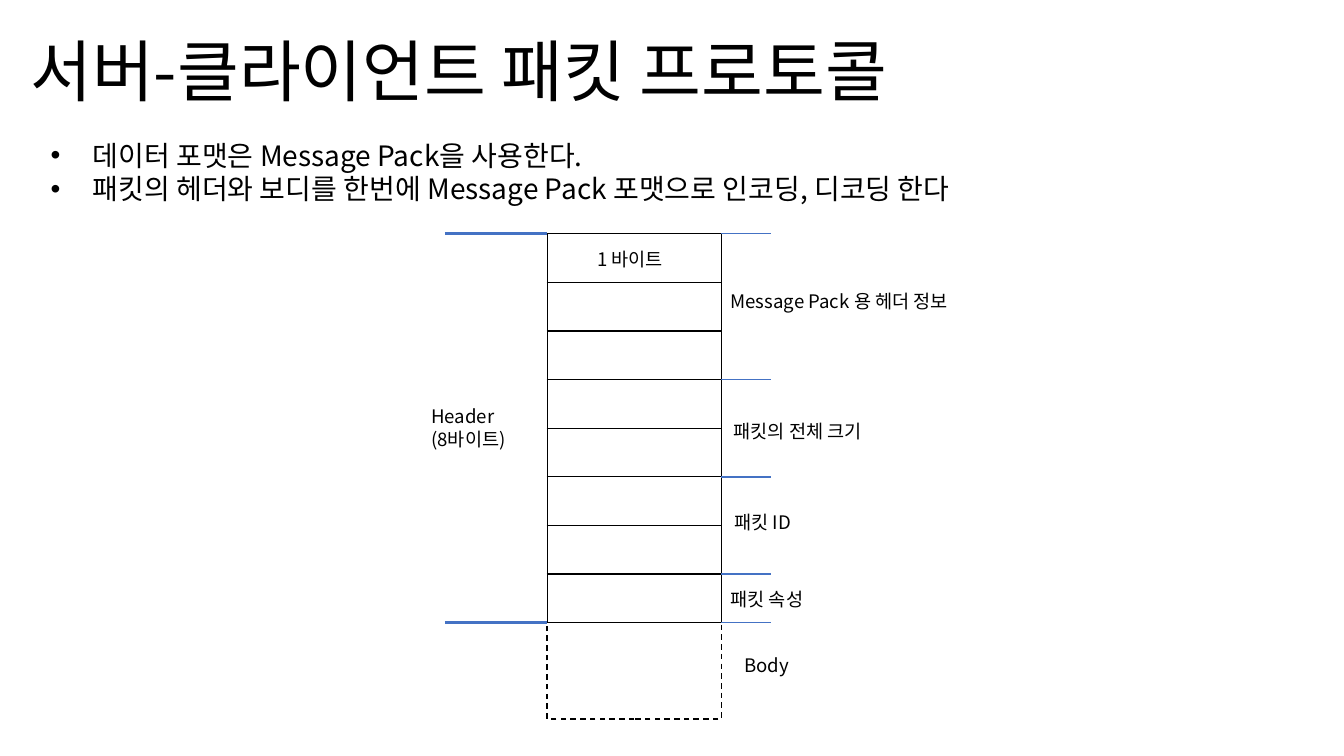
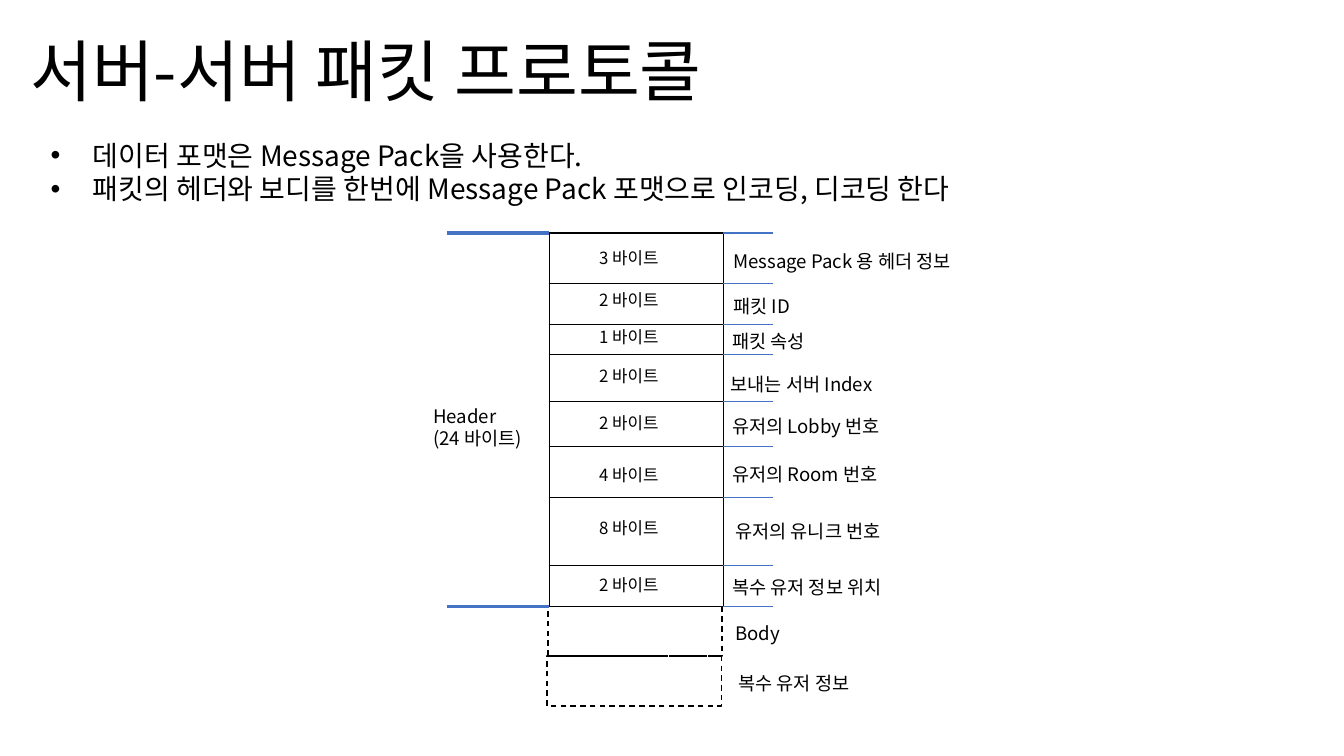
from dataclasses import dataclass

from pptx import Presentation
from pptx.dml.color import RGBColor
from pptx.enum.dml import MSO_LINE
from pptx.enum.shapes import MSO_CONNECTOR, MSO_SHAPE
from pptx.enum.text import MSO_ANCHOR, MSO_AUTO_SIZE, PP_ALIGN
from pptx.oxml.ns import qn
from pptx.util import Cm, Pt
from lxml import etree

STRAIGHT = MSO_CONNECTOR.STRAIGHT
RECT = MSO_SHAPE.RECTANGLE
DASH = MSO_LINE.DASH
TOP = MSO_ANCHOR.TOP
LEFT = PP_ALIGN.LEFT
NO_FIT = MSO_AUTO_SIZE.NONE


@dataclass(frozen=True)
class Theme:
    font: str = "Noto Sans CJK KR"
    ink: RGBColor = RGBColor(0x00, 0x00, 0x00)
    accent: RGBColor = RGBColor(0x44, 0x72, 0xC4)
    title: float = 48
    body: float = 20
    label: float = 13.3
    small: float = 12
    thin: float = 1
    thick: float = 2.25


T = Theme()


@dataclass(frozen=True)
class Field:
    """A labelled part of the packet; dx and dy nudge its label (cm)."""
    name: str
    rows: int = 1
    dx: float = 0
    dy: float = 0.06


@dataclass(frozen=True)
class Packet:
    title: str
    left: float
    top: float
    rows: list       # row heights, cm
    sizes: list      # (byte count, vertical nudge) of the rows
    size_pt: float
    fields: list
    tails: list      # (height, horizontal shift, field) of the dashed parts
    header: list     # paragraphs of the header label
    header_w: float


BULLETS = [
    "데이터 포맷은 Message Pack을 사용한다.",
    "패킷의 헤더와 보디를 한번에 Message Pack 포맷으로 인코딩, 디코딩 한다",
]
WIDTH = 4.39         # packet column
TICK = 1.24
HEADER_LINE = 2.58
LABEL_W, LABEL_H = 6.81, 0.84
SIZE_W, SIZE_H = 2.67, 0.8

PACKETS = [
    Packet(
        "서버-클라이언트 패킷 프로토콜", 13.79, 5.89,
        [9.8 / 8] * 8, [(1, 0.02)], T.label,
        [Field("Message Pack 용 헤더 정보", 3, -0.02, -0.12),
         Field("패킷의 전체 크기", 2, 0.06, 0.08),
         Field("패킷 ID", 2, 0.08, -0.07),
         Field("패킷 속성", dx=-0.02, dy=0.03)],
        [(2.43, 0, Field("Body", dx=0.33, dy=-0.14))],
        ["Header (8바이트)"], 2.59),
    Packet(
        "서버-서버 패킷 프로토콜", 13.84, 5.87,
        [1.28, 1.03, 0.76, 1.18, 1.13, 1.29, 1.71, 1.03],
        [(3, 0), (2, -0.08), (1, -0.05), (2, -0.05),
         (2, 0), (4, 0.1), (8, -0.08), (2, 0)], T.small,
        [Field("Message Pack 용 헤더 정보", dy=0.08),
         Field("패킷 ID"),
         Field("패킷 속성", dx=-0.03),
         Field("보내는 서버 Index", dx=-0.07, dy=0.16),
         Field("유저의 Lobby 번호", dx=-0.03),
         Field("유저의 Room 번호", dx=-0.03),
         Field("유저의 유니크 번호", dx=0.05, dy=0),
         Field("복수 유저 정보 위치", dx=-0.03, dy=0.03)],
        [(1.25, -0.03, Field("Body", dx=0.05)),
         (1.26, -0.05, Field("복수 유저 정보", dx=0.13))],
        ["Header", "(24 바이트)"], 3.12),
]


# Text and line helpers
def add_run(p, text, size):
    r = p.add_run()
    r.text = text
    r.font.size = Pt(size)
    r.font.color.rgb = T.ink
    r.font.name = T.font
    etree.SubElement(r.font._element, qn("a:ea"), typeface=T.font)


def write(tf, lines, size):
    tf.word_wrap = True
    tf.auto_size = NO_FIT
    tf.vertical_anchor = TOP
    for i, line in enumerate(lines):
        p = tf.add_paragraph() if i else tf.paragraphs[0]
        p.alignment = LEFT
        p.space_before = Pt(0)
        add_run(p, line, size)


def place(sp, x, y, w, h):
    sp.left, sp.top, sp.width, sp.height = Cm(x), Cm(y), Cm(w), Cm(h)


def add_label(s, lines, x, y, w, h, size=T.label):
    sp = s.shapes.add_textbox(Cm(x), Cm(y), Cm(w), Cm(h))
    write(sp.text_frame, lines, size)


def add_rule(s, x, y, length, weight):
    line = s.shapes.add_connector(STRAIGHT, Cm(x), Cm(y), Cm(x + length), Cm(y))
    line.line.color.rgb = T.accent
    line.line.width = Pt(weight)
    etree.SubElement(line._element.spPr, qn("a:effectLst"))


def set_borders(cell):
    tcPr = cell._tc.get_or_add_tcPr()
    for i, side in enumerate(("lnL", "lnR", "lnT", "lnB")):
        ln = etree.Element(qn(f"a:{side}"), w=str(Pt(T.thin)))
        fill = etree.SubElement(ln, qn("a:solidFill"))
        etree.SubElement(fill, qn("a:srgbClr"), val=str(T.ink))
        tcPr.insert(i, ln)


# Title and bullet list
def add_heading(s, title):
    sp = s.shapes.title
    place(sp, 0.51, 0.61, 28.2, 2.31)
    write(sp.text_frame, [title], T.title)

    body = s.placeholders[1]
    place(body, 1.02, 3.35, 29.67, 1.96)
    write(body.text_frame, BULLETS, T.body)
    for p in body.text_frame.paragraphs:
        pPr = p._p.get_or_add_pPr()
        pPr.set("marL", str(Cm(1.06)))
        pPr.set("indent", str(-Cm(1.06)))
        etree.SubElement(pPr, qn("a:buFont"), typeface="Arial")
        etree.SubElement(pPr, qn("a:buChar"), char="•")


# Byte table with the size of each row
def add_byte_table(s, pk):
    frame = s.shapes.add_table(len(pk.rows), 1, Cm(pk.left), Cm(pk.top),
                               Cm(WIDTH), Cm(sum(pk.rows)))
    tbl = frame.table
    tbl.first_row = tbl.horz_banding = False
    for i, height in enumerate(pk.rows):
        tbl.rows[i].height = Cm(height)
        cell = tbl.cell(i, 0)
        cell.fill.background()
        set_borders(cell)
        cell.margin_top = cell.margin_bottom = 0
        p = cell.text_frame.paragraphs[0]
        etree.SubElement(p._p, qn("a:endParaRPr"), sz=str(T.small * 100))

    y = pk.top
    for height, (count, dy) in zip(pk.rows, pk.sizes):
        add_label(s, [f"{count} 바이트"], pk.left + 1.01,
                  y + (height - SIZE_H) / 2 + dy, SIZE_W, SIZE_H, pk.size_pt)
        y += height


def add_field_label(s, field, right, top, height):
    y = top + (height - LABEL_H) / 2 + field.dy
    add_label(s, [field.name], right + field.dx, y, LABEL_W, LABEL_H)


# Packet diagram: table, field ticks and labels, dashed tail, header span
def add_packet(s, pk):
    add_byte_table(s, pk)
    right = pk.left + WIDTH
    bottom = pk.top + sum(pk.rows)

    y, row = pk.top, 0
    add_rule(s, right, y, TICK, T.thin)
    for field in pk.fields:
        height = sum(pk.rows[row:row + field.rows])
        add_field_label(s, field, right, y, height)
        y += height
        row += field.rows
        add_rule(s, right, y, TICK, T.thin)

    for height, shift, field in pk.tails:
        box = s.shapes.add_shape(RECT, Cm(pk.left + shift), Cm(y),
                                 Cm(WIDTH), Cm(height))
        box.shadow.inherit = False
        box.fill.background()
        box.line.color.rgb = T.ink
        box.line.width = Pt(T.thin)
        box.line.dash_style = DASH
        add_field_label(s, field, right, y, height)
        y += height

    for edge in (pk.top, bottom):
        add_rule(s, pk.left - HEADER_LINE, edge, HEADER_LINE, T.thick)
    add_label(s, pk.header, pk.left - 3.17, pk.top + 4.2, pk.header_w, 1.4)


def main():
    prs = Presentation()
    prs.slide_width, prs.slide_height = Cm(33.87), Cm(19.05)
    for pk in PACKETS:
        s = prs.slides.add_slide(prs.slide_layouts[1])
        add_heading(s, pk.title)
        add_packet(s, pk)
    prs.save("out.pptx")


if __name__ == "__main__":
    main()
